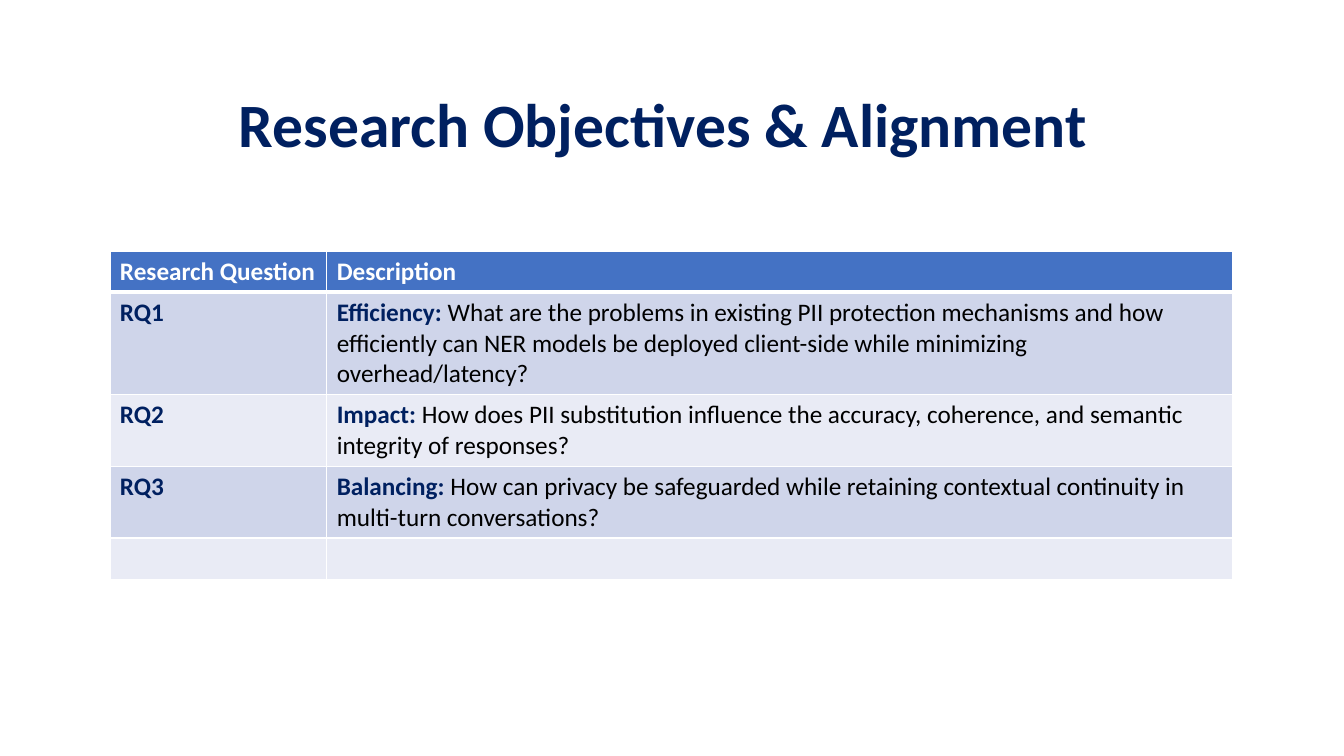
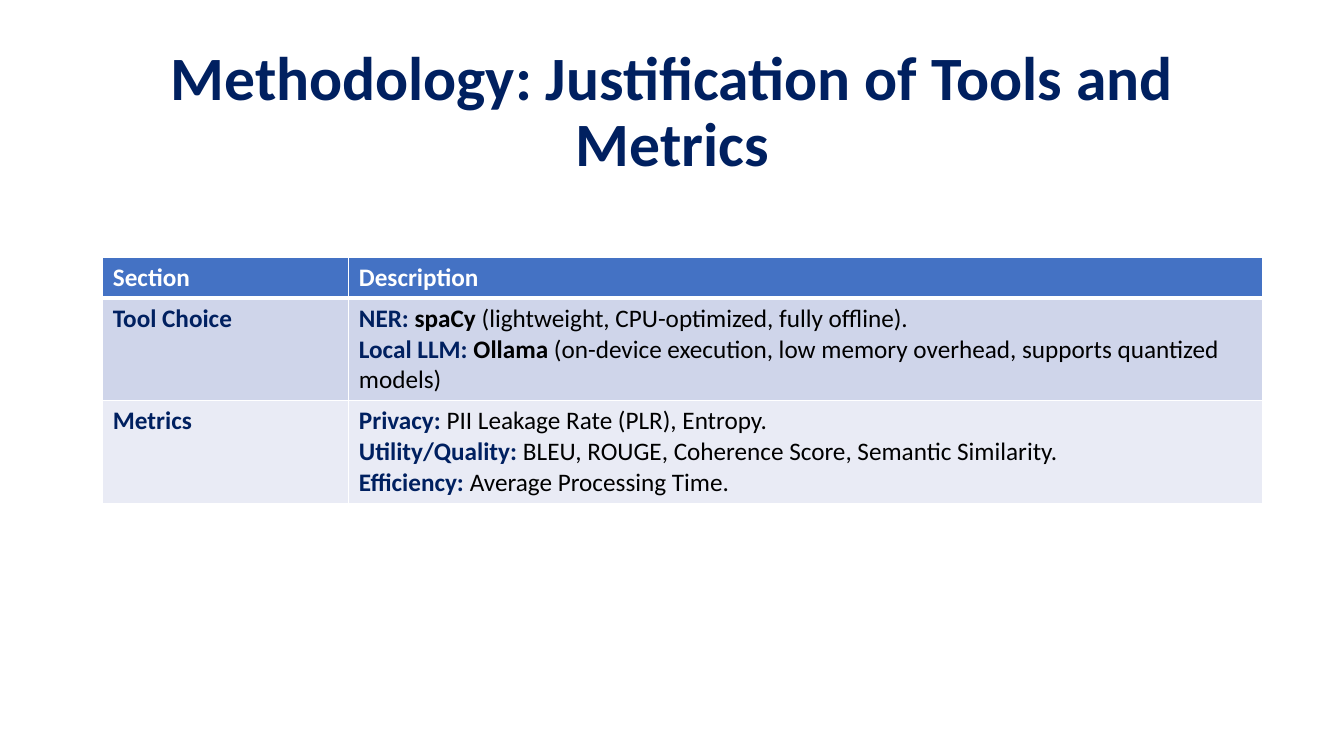
"""Builds two research slides, each with a title and a two-column table."""
from lxml import etree
from pptx import Presentation
from pptx import util as u
from pptx.dml.color import RGBColor
from pptx.enum import text
from pptx.oxml.ns import qn

COLORS = {"navy": "002060", "header": "4472C4", "odd": "CFD5EA",
          "even": "E9EBF5", "white": "FFFFFF", "black": "000000"}
FONT = "Calibri"
TITLE_SIZE, BODY_SIZE = 44, 18
TITLE_WIDTH, TITLE_HEIGHT = 11.5, 1.45
MIN_ROW, LINE_HEIGHT, ROW_PADDING = 0.41, 0.305, 0.1

# A row is (name, paragraphs, lines of text); a paragraph is (label, strong, plain).
SLIDES = [
    {"title": "Research Objectives & Alignment",
     "title_at": (0.83, 0.54),
     "table_at": (1.09, 2.49),
     "columns": (2.15, 8.99),
     "header": ("Research Question", "Description"),
     "rows": [
         ("RQ1", [("Efficiency: ", "", "What are the problems in existing PII protection "
                   "mechanisms and how efficiently can NER models be deployed client-side "
                   "while minimizing overhead/latency?")], 3),
         ("RQ2", [("Impact: ", "", "How does PII substitution influence the accuracy, "
                   "coherence, and semantic integrity of responses?")], 2),
         ("RQ3", [("Balancing: ", "", "How can privacy be safeguarded while retaining "
                   "contextual continuity in multi-turn conversations?")], 2),
         ("", [], 1)]},
    {"title": "Methodology: Justification of Tools and Metrics",
     "title_at": (0.92, 0.4),
     "table_at": (1.02, 2.55),
     "columns": (2.44, 9.06),
     "header": ("Section", "Description"),
     "rows": [
         ("Tool Choice", [
             ("NER: ", "spaCy", " (lightweight, CPU-optimized, fully offline)."),
             ("Local LLM: ", "Ollama", " (on-device execution, low memory overhead, "
              "supports quantized models)")], 3),
         ("Metrics", [
             ("Privacy: ", "", "PII Leakage Rate (PLR), Entropy."),
             ("Utility/Quality: ", "", "BLEU, ROUGE, Coherence Score, Semantic Similarity."),
             ("Efficiency: ", "", "Average Processing Time.")], 3)]},
]


def style_font(font, size, color, bold=True):
    font.name, font.size, font.bold = FONT, u.Pt(size), bold
    font.color.rgb = RGBColor.from_string(COLORS[color])


def add_title(slide, title, position):
    shape = slide.shapes.title
    shape.left, shape.top = map(u.Inches, position)
    shape.width, shape.height = u.Inches(TITLE_WIDTH), u.Inches(TITLE_HEIGHT)
    frame = shape.text_frame
    frame.text = title
    frame.auto_size = text.MSO_AUTO_SIZE.NONE
    frame.vertical_anchor = text.MSO_ANCHOR.MIDDLE
    paragraph = frame.paragraphs[0]
    paragraph.alignment = text.PP_ALIGN.CENTER
    paragraph.line_spacing = 0.9
    style_font(paragraph.runs[0].font, TITLE_SIZE, "navy")


def paint_cell(cell, fill, top=1, bottom=1):
    properties = cell._tc.get_or_add_tcPr()
    for side, width in (("L", 1), ("R", 1), ("T", top), ("B", bottom)):
        line = etree.SubElement(properties, qn(f"a:ln{side}"), w=str(u.Pt(width)))
        solid = etree.SubElement(line, qn("a:solidFill"))
        etree.SubElement(solid, qn("a:srgbClr"), val=COLORS["white"])
    cell.fill.solid()
    cell.fill.fore_color.rgb = RGBColor.from_string(COLORS[fill])


def write_cell(cell, paragraphs, label_color="navy"):
    styles = ((label_color, True), ("black", True), ("black", False))
    frame = cell.text_frame
    style_font(frame.paragraphs[0].font, BODY_SIZE, label_color)
    for index, parts in enumerate(paragraphs):
        paragraph = frame.add_paragraph() if index else frame.paragraphs[0]
        for part, (color, bold) in zip(parts, styles):
            if part:
                run = paragraph.add_run()
                run.text = part
                style_font(run.font, BODY_SIZE, color, bold)


def add_table(slide, content):
    rows, columns = content["rows"], content["columns"]
    heights = [MIN_ROW] + [max(MIN_ROW, ROW_PADDING + LINE_HEIGHT * lines)
                           for _, _, lines in rows]
    left, top = content["table_at"]
    table = slide.shapes.add_table(
        len(heights), len(columns),
        *map(u.Inches, (left, top, sum(columns), sum(heights)))).table
    for column, width in zip(table.columns, columns):
        column.width = u.Inches(width)
    for row, height in zip(table.rows, heights):
        row.height = u.Inches(height)
    for column, heading in enumerate(content["header"]):
        cell = table.cell(0, column)
        paint_cell(cell, "header", bottom=3)
        write_cell(cell, [(heading,)], "white")
    for row, (name, description, _) in enumerate(rows, 1):
        names = [(name,)] if name else []
        for column, paragraphs in enumerate((names, description)):
            cell = table.cell(row, column)
            paint_cell(cell, "odd" if row % 2 else "even", top=3 if row == 1 else 1)
            write_cell(cell, paragraphs)


def main():
    presentation = Presentation()
    presentation.slide_width, presentation.slide_height = u.Inches(13.33), u.Inches(7.5)
    for content in SLIDES:
        slide = presentation.slides.add_slide(presentation.slide_layouts.get_by_name("Title Only"))
        add_title(slide, content["title"], content["title_at"])
        add_table(slide, content)
    presentation.save("out.pptx")


if __name__ == "__main__":
    main()
